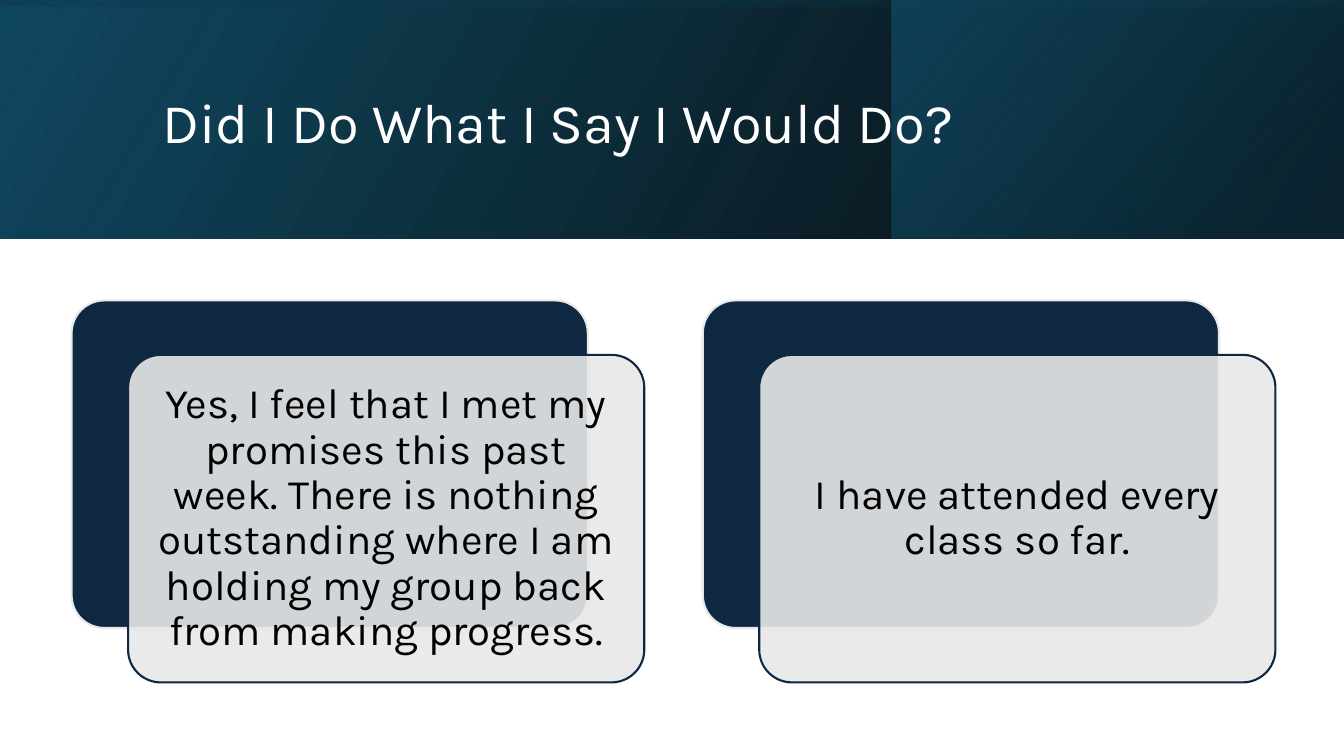
from pptx import Presentation
from pptx.dml.color import RGBColor
from pptx.enum.shapes import MSO_SHAPE
from pptx.enum.text import MSO_ANCHOR, MSO_AUTO_SIZE, PP_ALIGN
from pptx.oxml.ns import qn
from pptx.util import Inches, Pt
from lxml.etree import SubElement

# Content
TITLE = "Did I Do What I Say I Would Do?"
CARDS = [
    "Yes, I feel that I met my promises this past week. There is nothing "
    "outstanding where I am holding my group back from making progress.",
    "I have attended every class so far.",
]

# Header bands: box, rotation, gradient angle, stops (position, colour, opacity)
WIDE, HIGH, BAND = 13.33, 7.5, 2.37
MID = (WIDE - BAND) / 2
BANDS = [
    ((0, 0, WIDE, BAND), 0, 30, [(0, "000000", 96), (1, "104862", 100)]),
    ((8.84, 0, 4.49, BAND), 0, 40, [(0.19, "0B3041", 68), (1, "156082", 48)]),
    ((MID, -MID, BAND, WIDE), 270, 10,
     [(0.23, "104862", 16), (0.99, "000000", 45)]),
]

# Card layout
LEFT, TOP, STEP = 0.71, 2.98, 6.26
SIZE = (5.12, 3.25)
SHIFT = (0.56, 0.54)
NAVY, GREY = "0E2841", "E8E8E8"
INSET = Inches(0.12)
FRAME = {"word_wrap": True, "auto_size": MSO_AUTO_SIZE.NONE,
         "vertical_anchor": MSO_ANCHOR.MIDDLE}
PAD = {"margin_left": INSET, "margin_right": INSET,
       "margin_top": INSET, "margin_bottom": INSET}


def color(code):
    return RGBColor.from_string(code)


def assign(item, values):
    for name, value in values.items():
        setattr(item, name, value)


def fade(node, pct):
    for tint in node.iter(qn("a:srgbClr")):
        SubElement(tint, qn("a:alpha")).set("val", str(pct * 1000))


def add_box(kind, box):
    shape = slide.shapes.add_shape(kind, *map(Inches, box))
    shape.shadow.inherit = False
    return shape


def add_band(box, turn, angle, stops):
    band = add_box(MSO_SHAPE.RECTANGLE, box)
    band.rotation = turn
    band._element.spPr.get_or_add_xfrm().set("flipH", "1")
    band.line.fill.background()
    band.fill.gradient()
    band.fill.gradient_angle = angle
    for stop, (pos, code, pct) in zip(band.fill.gradient_stops, stops):
        stop.position = pos
        stop.color.rgb = color(code)
        fade(stop._gs, pct)


def add_card(left, top, fill, line):
    card = add_box(MSO_SHAPE.ROUNDED_RECTANGLE, (left, top, *SIZE))
    card.adjustments[0] = 0.1
    card.fill.solid()
    card.fill.fore_color.rgb = color(fill)
    card.line.color.rgb = color(line)
    card.line.width = Pt(1.5)
    return card


def write(shape, text, size, code, align, extra):
    frame = shape.text_frame
    frame.text = text
    assign(frame, {**FRAME, **extra})
    para = frame.paragraphs[0]
    assign(para, {"alignment": align, "line_spacing": 0.9})
    font = para.runs[0].font
    assign(font, {"name": "Karla", "size": Pt(size)})
    font.color.rgb = color(code)


deck = Presentation()
deck.slide_width, deck.slide_height = Inches(WIDE), Inches(HIGH)
slide = deck.slides.add_slide(deck.slide_layouts[5])

# Header
for band in BANDS:
    add_band(*band)

# Title, brought in front of the bands
title = slide.shapes.title
slide.shapes._spTree.append(title._element)
assign(title, {"left": Inches(1.51), "top": Inches(0.38),
               "width": Inches(10.63), "height": Inches(1.72)})
write(title, TITLE, 40, "FFFFFF", PP_ALIGN.LEFT, {})

# Cards: a navy back and a translucent front with the text
for i, text in enumerate(CARDS):
    left = LEFT + i * STEP
    add_card(left, TOP, NAVY, GREY)
    front = add_card(left + SHIFT[0], TOP + SHIFT[1], GREY, NAVY)
    fade(front._element.spPr.find(qn("a:solidFill")), 90)
    write(front, text, 30, "000000", PP_ALIGN.CENTER, PAD)

deck.save("out.pptx")
